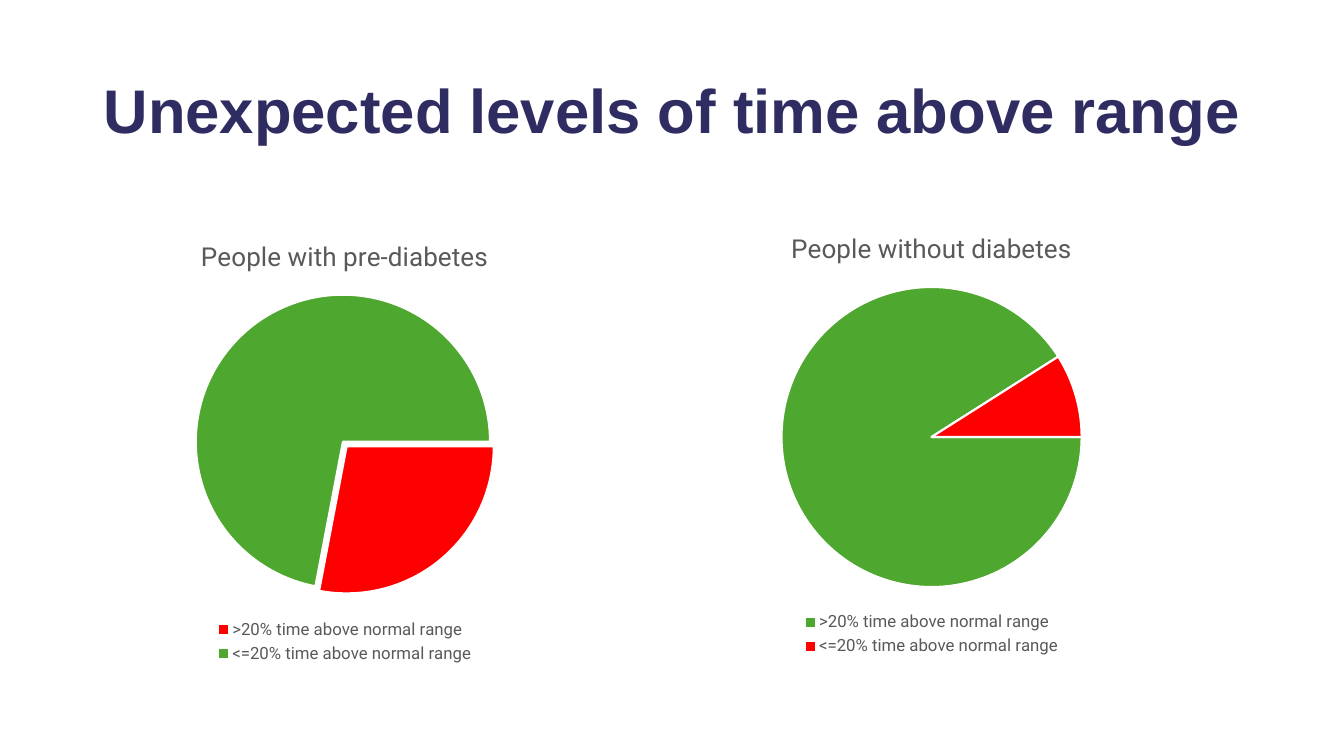
from lxml.etree import SubElement
from pptx import Presentation
from pptx.chart.data import CategoryChartData
from pptx.dml.color import RGBColor
from pptx.enum.chart import XL_CHART_TYPE as ChartType, XL_LEGEND_POSITION as LegendPos
from pptx.enum.text import MSO_ANCHOR, PP_ALIGN
from pptx.oxml.ns import qn
from pptx.util import Inches, Pt

WIDTH, HEIGHT = Inches(13.33), Inches(7.5)
NAVY = RGBColor(0x2E, 0x2C, 0x61)
GREY = RGBColor(0x59, 0x59, 0x59)
GREEN = RGBColor(0x4E, 0xA7, 0x2E)
RED = RGBColor(0xFF, 0x00, 0x00)
WHITE = RGBColor(0xFF, 0xFF, 0xFF)
BLACK = RGBColor(0x00, 0x00, 0x00)
CATEGORIES = (">20% time above normal range", "<=20% time above normal range")


def place(left, top, width, height):
    return (Inches(left), Inches(top), Inches(width), Inches(height))


def set_font(font, name, size, color, bold=False):
    font.name = name
    font.size = Pt(size)
    font.bold = bold
    font.color.rgb = color


def add_title(s, text, box, **fmt):
    tf = s.shapes.add_textbox(*box).text_frame
    tf.word_wrap = True
    tf.vertical_anchor = MSO_ANCHOR.MIDDLE
    p = tf.paragraphs[0]
    p.alignment = PP_ALIGN.CENTER
    p.line_spacing = 0.9
    r = p.add_run()
    r.text = text
    set_font(r.font, **fmt)


def add_pie(s, title, values, colors, box, explosion=0):
    data = CategoryChartData()
    data.categories = CATEGORIES
    data.add_series(title, values)
    chart = s.shapes.add_chart(ChartType.PIE, *box, data).chart
    set_font(chart.font, "Arial", 10, BLACK)

    chart.has_title = True
    tf = chart.chart_title.text_frame
    tf.text = title
    set_font(tf.paragraphs[0].runs[0].font, "Roboto", 18.6, GREY)

    chart.has_legend = True
    chart.legend.position = LegendPos.BOTTOM
    chart.legend.include_in_layout = False
    set_font(chart.legend.font, "Roboto", 12, GREY)

    plot = chart.plots[0]
    plot.vary_by_categories = True
    series = plot.series[0]
    outline(series.format.line)
    for i, color in enumerate(colors):
        fmt = series.points[i].format
        fmt.fill.solid()
        fmt.fill.fore_color.rgb = color
        outline(fmt.line)

    ser = series._element
    if explosion:
        gap = SubElement(ser, qn("c:explosion"), val=str(explosion))
        ser.find(qn("c:spPr")).addnext(gap)
    SubElement(ser.getparent(), qn("c:firstSliceAng"), val="90")


def outline(line):
    line.color.rgb = WHITE
    line.width = Pt(1.5)


def main():
    prs = Presentation()
    prs.slide_width, prs.slide_height = WIDTH, HEIGHT
    s = prs.slides.add_slide(prs.slide_layouts[6])
    add_title(s, "Unexpected levels of time above range", place(0.92, 0.4, 11.5, 1.45),
              name="Arial", size=44, color=NAVY, bold=True)
    add_pie(s, "People without diabetes", (91, 9), (GREEN, RED),
            place(6.66, 2.11, 5.16, 4.44))
    add_pie(s, "People with pre-diabetes", (28, 72), (RED, GREEN),
            place(0.84, 2.18, 5.16, 4.44), explosion=2)
    prs.save("out.pptx")


if __name__ == "__main__":
    main()
